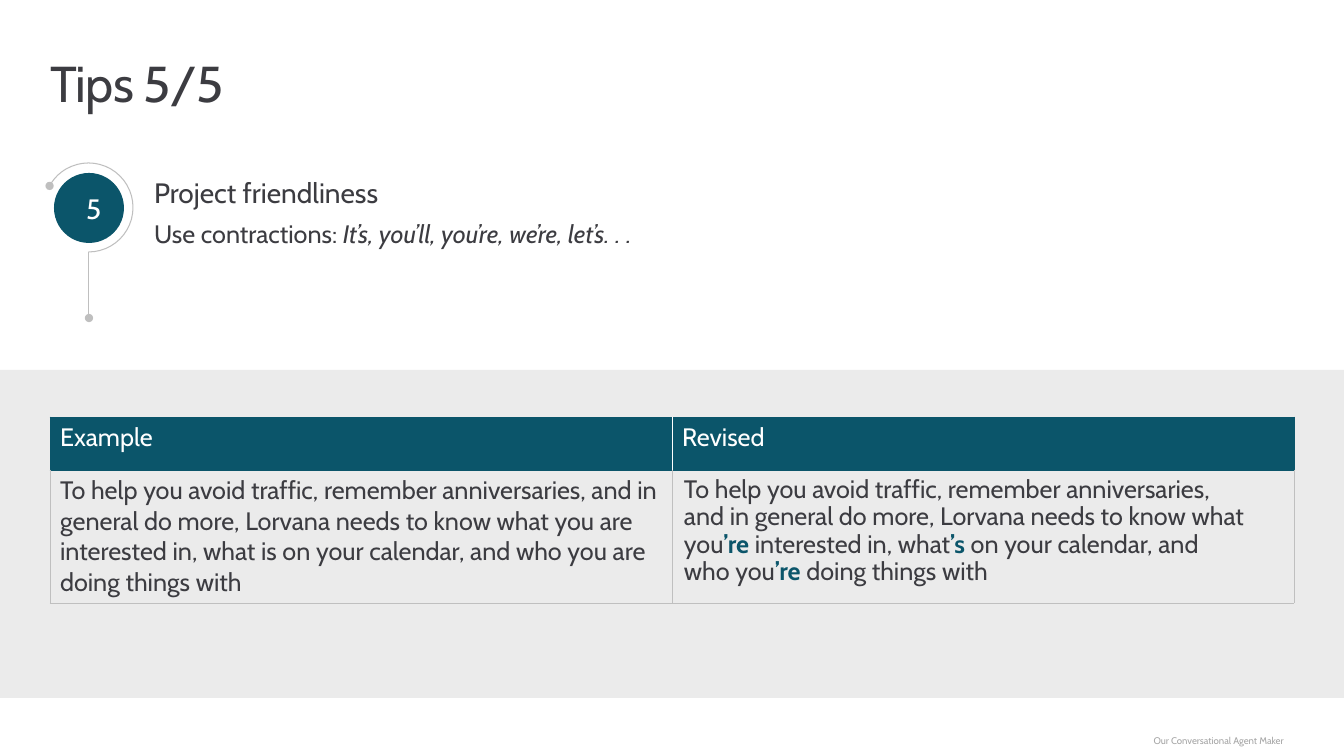
from dataclasses import dataclass

from lxml.etree import SubElement
from pptx import Presentation
from pptx.dml.color import RGBColor
from pptx.enum.shapes import MSO_CONNECTOR, MSO_SHAPE
from pptx.enum.text import MSO_ANCHOR, PP_ALIGN
from pptx.oxml.ns import qn
from pptx.util import Emu, Pt

PX = 914400 / 100.8


@dataclass(frozen=True)
class Theme:
    font: str = "Cabin"
    ink: str = "3C3C41"
    teal: str = "0B556A"
    white: str = "FFFFFF"
    band: str = "EBEBEB"
    rule: str = "BFBFBF"
    muted: str = "A6A6A6"
    title: float = 36
    heading: float = 20
    body: float = 18
    footer: float = 6.9
    line: float = 0.75
    border: float = 0.5


def px(*lengths):
    return [Emu(round(length * PX)) for length in lengths]


def color(code):
    return RGBColor.from_string(code)


class TipSlide:
    def __init__(self, deck, theme):
        self.theme = theme
        self.page = deck.slides.add_slide(deck.slide_layouts[6])

    def run(self, para, words, size, ink, bold=False, italic=False):
        span = para.add_run()
        span.text = words
        font = span.font
        font.name, font.size = self.theme.font, Pt(size)
        font.color.rgb = color(ink)
        font.bold, font.italic = bold, italic
        return span

    def frame(self, shape, insets, anchor=MSO_ANCHOR.TOP):
        """Set wrapping, anchor and insets (left, top, right, bottom); return the first paragraph."""
        box = shape.text_frame
        box.word_wrap = True
        box.vertical_anchor = anchor
        box.margin_left, box.margin_top, box.margin_right, box.margin_bottom = px(*insets)
        return box.paragraphs[0]

    def text_box(self, place, insets=(0, 0, 0, 0), anchor=MSO_ANCHOR.TOP):
        box = self.page.shapes.add_textbox(*px(*place))
        return box, self.frame(box, insets, anchor)

    def shape(self, preset, place, fill):
        shape = self.page.shapes.add_shape(preset, *px(*place))
        shape.shadow.inherit = False
        shape.fill.solid()
        shape.fill.fore_color.rgb = color(fill)
        shape.line.fill.background()
        return shape

    def dotted_line(self, line, end):
        """Style a line and put a dot at its headEnd or tailEnd."""
        line.color.rgb = color(self.theme.rule)
        line.width = Pt(self.theme.line)
        SubElement(line._get_or_add_ln(), qn(f"a:{end}"), type="oval")

    def arc(self, place, start, stop):
        """Draw an arc clockwise between two angles in degrees, with a dot at its start."""
        arc = self.page.shapes.add_shape(MSO_SHAPE.ARC, *px(*place))
        arc.shadow.inherit = False
        arc.fill.background()
        for index, angle in enumerate((start, stop)):
            arc.adjustments[index] = angle * 0.6
        self.dotted_line(arc.line, "headEnd")

    def stem(self, left, top, bottom):
        stem = self.page.shapes.add_connector(MSO_CONNECTOR.STRAIGHT, *px(left, top, left, bottom))
        self.dotted_line(stem.line, "tailEnd")
        SubElement(stem._element.spPr, qn("a:effectLst"))

    def cell_borders(self, cell, borders):
        """Add left, right, top and bottom borders, ahead of the cell's fill."""
        properties = cell._tc.get_or_add_tcPr()
        for index, (side, ink) in enumerate(zip("LRTB", borders)):
            line = SubElement(properties, qn(f"a:ln{side}"), w=str(Pt(self.theme.border)))
            SubElement(SubElement(line, qn("a:solidFill")), qn("a:srgbClr"), val=ink)
            properties.insert(index, line)

    def table(self, place, heights, rows):
        theme = self.theme
        table = self.page.shapes.add_table(len(rows), len(rows[0]), *px(*place)).table
        table.horz_banding = False
        for row, height in zip(table.rows, px(*heights)):
            row.height = height
        for row_index, row in enumerate(rows):
            header = row_index == 0
            for column, words in enumerate(row):
                cell = table.cell(row_index, column)
                if header:
                    cell.fill.solid()
                    cell.fill.fore_color.rgb = color(theme.teal)
                    sides = (theme.teal, theme.white) if column == 0 else (theme.white, theme.teal)
                    borders = (*sides, theme.teal, theme.teal)
                else:
                    cell.fill.background()
                    borders = (theme.rule, theme.rule, theme.teal, theme.rule)
                self.cell_borders(cell, borders)
                if words:
                    ink = theme.white if header else theme.ink
                    self.run(cell.text_frame.paragraphs[0], words, theme.body, ink)


def main():
    deck = Presentation()
    deck.slide_width, deck.slide_height = px(1344, 756)
    theme = Theme()
    slide = TipSlide(deck, theme)

    _, footer = slide.text_box((17, 734, 1277, 13), (10, 0, 10, 0), MSO_ANCHOR.MIDDLE)
    footer.alignment = PP_ALIGN.RIGHT
    slide.run(footer, "Our Conversational Agent Maker", theme.footer, theme.muted)

    slide.shape(MSO_SHAPE.RECTANGLE, (0, 370, 1344, 328), theme.band)

    _, title = slide.text_box((50, 69, 1246, 44))
    title.line_spacing = Pt(31.4)
    heading = slide.run(title, "Tips 5/5", theme.title, theme.ink)
    heading.font._element.set("spc", "-50")

    badge = slide.shape(MSO_SHAPE.OVAL, (54, 173, 70, 70), theme.teal)
    number = slide.frame(badge, (22, 16, 16, 16), MSO_ANCHOR.MIDDLE)
    number.alignment = PP_ALIGN.CENTER
    slide.run(number, "5", theme.heading, theme.white)
    slide.arc((44, 163, 89, 89), 209, 90)
    slide.stem(89, 252, 318)

    tip_box, tip = slide.text_box((154, 166, 1101, 157), (0, 10, 0, 10))
    slide.run(tip, "Project friendliness", theme.heading, theme.ink)
    advice = tip_box.text_frame.add_paragraph()
    slide.run(advice, "Use contractions: ", theme.body, theme.ink)
    slide.run(advice, "It’s, you’ll, you’re, we’re, let’s. . .", theme.body, theme.ink, italic=True)
    for para in (tip, advice):
        para.space_after = Pt(6)

    opening = "To help you avoid traffic, remember anniversaries, and in general do more, Lorvana needs to know what you"
    slide.table((50, 417, 1244, 186), (53, 133), [
        ("Example", "Revised"),
        (opening + " are interested in, what is on your calendar, and who you are doing things with", ""),
    ])

    _, revised = slide.text_box((684, 477, 562, 110))
    revised.line_spacing = 0.9
    revised.space_after = Pt(6)
    for words, contraction in (
        (opening, "’re"),
        (" interested in, what", "’s "),
        ("on your calendar, and who you", "’re "),
        ("doing things with", ""),
    ):
        slide.run(revised, words, theme.body, theme.ink)
        if contraction:
            slide.run(revised, contraction, theme.body, theme.teal, bold=True)

    deck.save("out.pptx")


if __name__ == "__main__":
    main()
